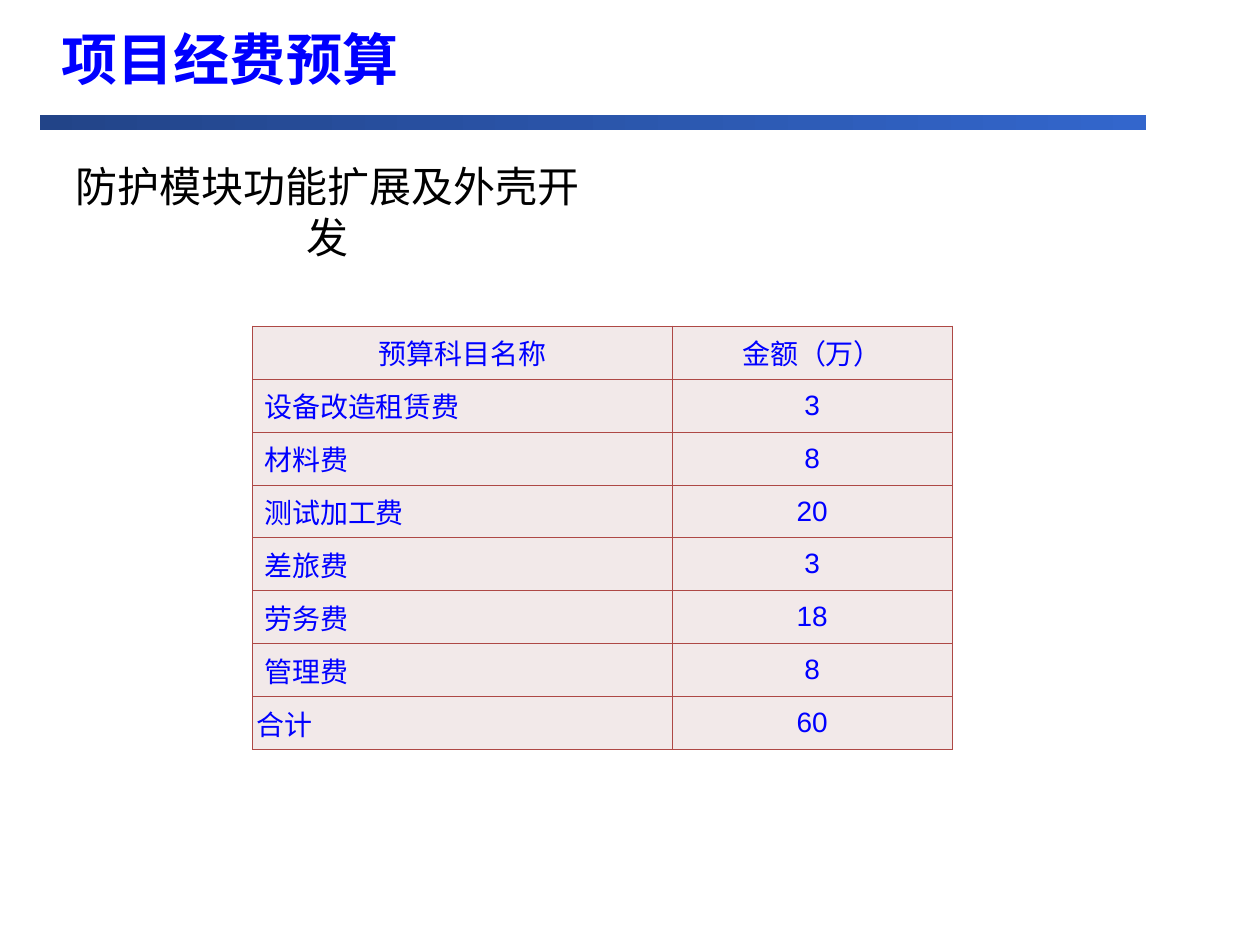
from lxml.etree import SubElement
from pptx import Presentation
from pptx.dml.color import RGBColor
from pptx.enum.shapes import MSO_SHAPE
from pptx.enum.text import MSO_ANCHOR, MSO_AUTO_SIZE, PP_ALIGN
from pptx.oxml.ns import qn
from pptx.util import Cm, Pt

BLUE = "0000FF"
HEADING_FONT = "Noto Sans CJK SC"
BUDGET = [
    ("预算科目名称", "金额（万）"),
    ("设备改造租赁费", "3"),
    ("材料费", "8"),
    ("测试加工费", "20"),
    ("差旅费", "3"),
    ("劳务费", "18"),
    ("管理费", "8"),
    ("合计", "60"),
]


def color(value):
    return RGBColor.from_string(value)


def style(para, size, fill, name, bold=False, align=PP_ALIGN.LEFT):
    para.alignment = align
    font = para.font
    font.size = Pt(size)
    font.bold = bold
    font.name = name
    font.color.rgb = color(fill)


def add_title(page, left, top, width, height):
    box = page.shapes.add_textbox(left, top, width, height)
    frame = box.text_frame
    frame.word_wrap = True
    frame.vertical_anchor = MSO_ANCHOR.MIDDLE
    frame.text = "项目经费预算"
    style(frame.paragraphs[0], 32, BLUE, HEADING_FONT, bold=True)


def add_rule(page, left, top, width, height):
    bar = page.shapes.add_shape(MSO_SHAPE.RECTANGLE, left, top, width, height)
    bar.shadow.inherit = False
    bar.line.fill.background()
    bar.fill.gradient()
    bar.fill.gradient_angle = 0
    for stop, (position, value) in zip(
        bar.fill.gradient_stops, [(0, "224488"), (1, "3366CC")]
    ):
        stop.position = position
        stop.color.rgb = color(value)


def add_subject(page, left, top, width, height):
    box = page.shapes.add_textbox(left, top, width, height)
    frame = box.text_frame
    frame.word_wrap = False
    frame.auto_size = MSO_AUTO_SIZE.SHAPE_TO_FIT_TEXT
    frame.text = "防护模块功能扩展及外壳开发"
    style(frame.paragraphs[0], 24, "000000", HEADING_FONT, align=PP_ALIGN.CENTER)


def add_borders(cell, value, width):
    properties = cell._tc.get_or_add_tcPr()
    for index, side in enumerate(("lnL", "lnR", "lnT", "lnB")):
        line = properties.makeelement(qn(f"a:{side}"), {"w": str(Pt(width))})
        fill = SubElement(line, qn("a:solidFill"))
        SubElement(fill, qn("a:srgbClr"), val=value)
        properties.insert(index, line)


def add_budget(page, left, top, width, height):
    table = page.shapes.add_table(len(BUDGET), 2, left, top, width, height).table
    table.columns[0].width = int(width * 0.6)
    table.columns[1].width = width - table.columns[0].width
    last = len(BUDGET) - 1
    for row, texts in enumerate(BUDGET):
        for column, text in enumerate(texts):
            cell = table.cell(row, column)
            is_item = column == 0 and 0 < row < last
            is_left = column == 0 and row > 0
            cell.text = text
            cell.vertical_anchor = MSO_ANCHOR.MIDDLE
            cell.margin_left = Cm(0.24 if is_item else 0.08)
            cell.margin_right = Cm(0.08)
            cell.fill.solid()
            cell.fill.fore_color.rgb = color("F2E9E9")
            add_borders(cell, "AE4845", 0.45)
            align = PP_ALIGN.LEFT if is_left else PP_ALIGN.CENTER
            style(cell.text_frame.paragraphs[0], 16, BLUE, "Arial", align=align)


def main():
    deck = Presentation()
    deck.slide_width, deck.slide_height = Cm(25.4), Cm(19.05)
    page = deck.slides.add_slide(deck.slide_layouts[6])
    add_rule(page, Cm(0.8), Cm(2.32), Cm(22.3), Cm(0.3))
    add_budget(page, Cm(5.09), Cm(6.57), Cm(14.1), Cm(6.68))
    add_title(page, Cm(1), Cm(0.36), Cm(21.46), Cm(1.63))
    add_subject(page, Cm(0.85), Cm(3.12), Cm(11.5), Cm(1.28))
    deck.save("out.pptx")


if __name__ == "__main__":
    main()
